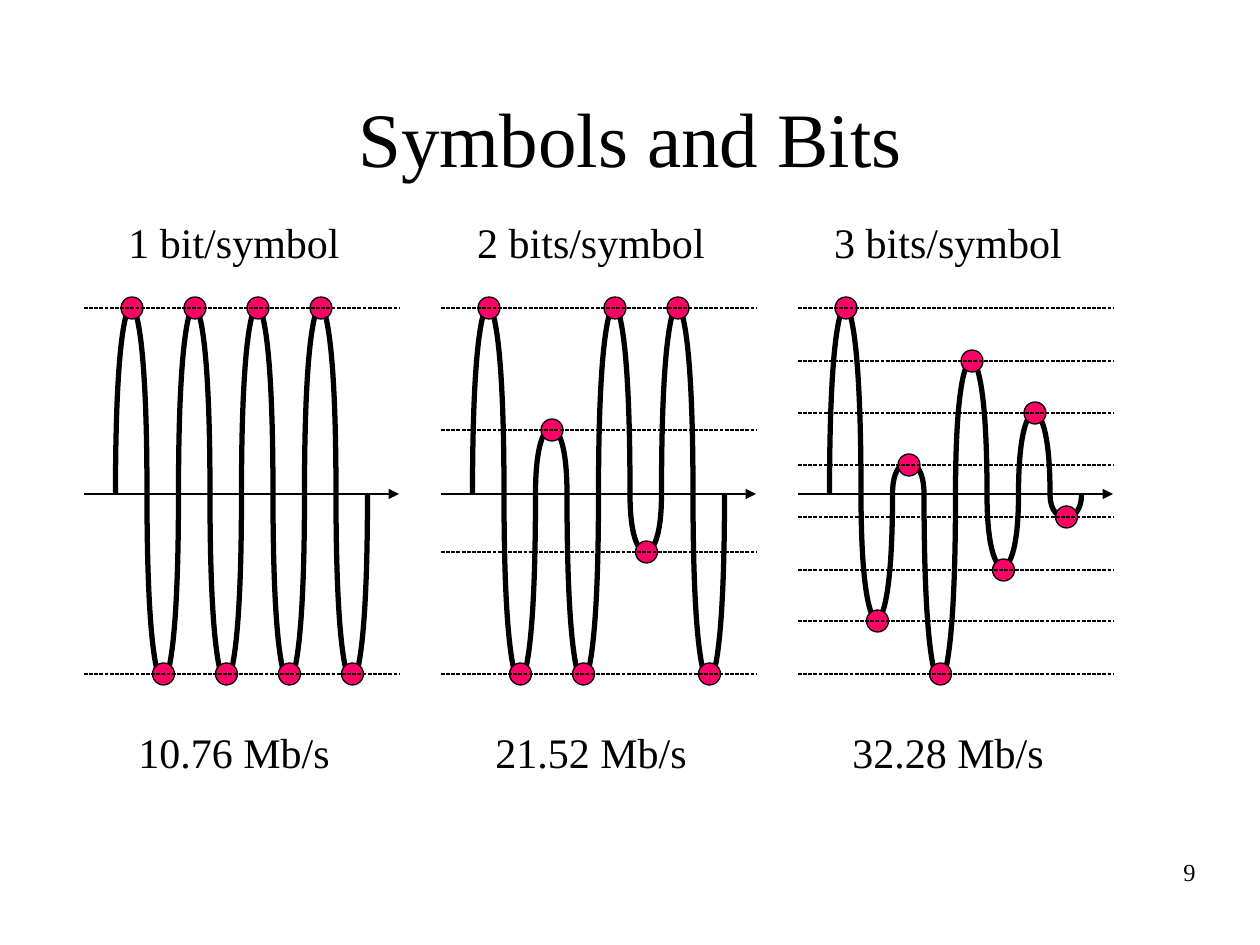
from lxml import etree
from pptx import Presentation, util as u
from pptx.dml.color import RGBColor
from pptx.enum import dml, shapes, text
from pptx.oxml.ns import qn

SCALE = 914400 / 126
AXIS = 494
PANEL_W = 315
HALF_WAVE = 31.5
DOT = 22
EXTREMES = {308: 305, 361: 359, 413: 412, 430: 427, 465: 462,
            517: 518, 552: 553, 570: 568, 621: 621, 674: 683}
PANELS = [
    (84, "1 bit/symbol", "10.76 Mb/s", [308, 674] * 4),
    (441, "2 bits/symbol", "21.52 Mb/s",
     [308, 674, 430, 674, 308, 552, 308, 674]),
    (798, "3 bits/symbol", "32.28 Mb/s",
     [308, 621, 465, 674, 361, 570, 413, 517]),
]


def px(n):
    return u.Emu(round(n * SCALE))


def color(value):
    return RGBColor.from_string(value)


def stroke(s, width):
    s.line.color.rgb = color("000000")
    s.line.width = u.Pt(width)


def add_text(slide, value, x, y, w, h, size=24, align="CENTER",
             anchor="TOP", wrap=True):
    s = slide.shapes.add_textbox(px(x), px(y), px(w), px(h))
    tf = s.text_frame
    tf.word_wrap = wrap
    tf.vertical_anchor = text.MSO_ANCHOR[anchor]
    p = tf.paragraphs[0]
    p.alignment = text.PP_ALIGN[align]
    r = p.add_run()
    r.text = value
    r.font.name = "Times New Roman"
    r.font.size = u.Pt(size)
    r.font.color.rgb = color("000000")


def add_line(slide, x, y, arrow=False):
    s = slide.shapes.add_connector(
        shapes.MSO_CONNECTOR.STRAIGHT, px(x), px(y), px(x + PANEL_W), px(y))
    stroke(s, 0.75)
    if arrow:
        etree.SubElement(s.line._get_or_add_ln(), qn("a:tailEnd"), type="triangle")
    else:
        s.line.dash_style = dml.MSO_LINE.SQUARE_DOT
    etree.SubElement(s._element.spPr, qn("a:effectLst"))


def add_half_wave(slide, x, extreme):
    mid, end = x + HALF_WAVE / 2, x + HALF_WAVE
    controls = [(x, extreme), (mid, extreme), (mid, extreme),
                (mid, extreme), (end, extreme), (end, AXIS)]
    builder = slide.shapes.build_freeform(px(x), px(AXIS), 1.0)
    builder.add_line_segments([(px(a), px(b)) for a, b in controls], close=False)
    s = builder.convert_to_shape()
    s.shadow.inherit = False
    s.fill.background()
    stroke(s, 3)
    outline = next(s._element.iter(qn("a:path")))
    segments = outline.findall(qn("a:lnTo"))
    for i in range(0, len(segments), 3):
        curve = etree.SubElement(outline, qn("a:cubicBezTo"))
        for segment in segments[i:i + 3]:
            curve.append(segment[0])
            outline.remove(segment)


def add_dot(slide, x, y):
    s = slide.shapes.add_shape(
        shapes.MSO_SHAPE.OVAL, px(x - DOT / 2), px(y - DOT / 2), px(DOT), px(DOT))
    s.shadow.inherit = False
    s.fill.solid()
    s.fill.fore_color.rgb = color("FF0066")
    stroke(s, 0.75)


def add_panel(slide, left, label, rate, levels):
    add_line(slide, left, AXIS, arrow=True)
    for i, level in enumerate(levels):
        add_half_wave(slide, left + HALF_WAVE * (i + 1), EXTREMES[level])
    for i, level in enumerate(levels):
        add_dot(slide, left + 48 + HALF_WAVE * i, level)
    for level in sorted(set(levels)):
        add_line(slide, left, level)
    add_text(slide, label, left + 20, 210, 260, 63, wrap=False)
    add_text(slide, rate, left + 38, 720, 224, 63, wrap=False)


def main():
    prs = Presentation()
    prs.slide_width, prs.slide_height = px(1260), px(945)
    slide = prs.slides.add_slide(prs.slide_layouts[6])
    add_text(slide, "Symbols and Bits", 95, 84, 1071, 105,
             size=44, anchor="MIDDLE")
    for panel in PANELS:
        add_panel(slide, *panel)
    add_text(slide, "9", 945, 851, 263, 63, size=14, align="RIGHT")
    prs.save("out.pptx")


if __name__ == "__main__":
    main()
